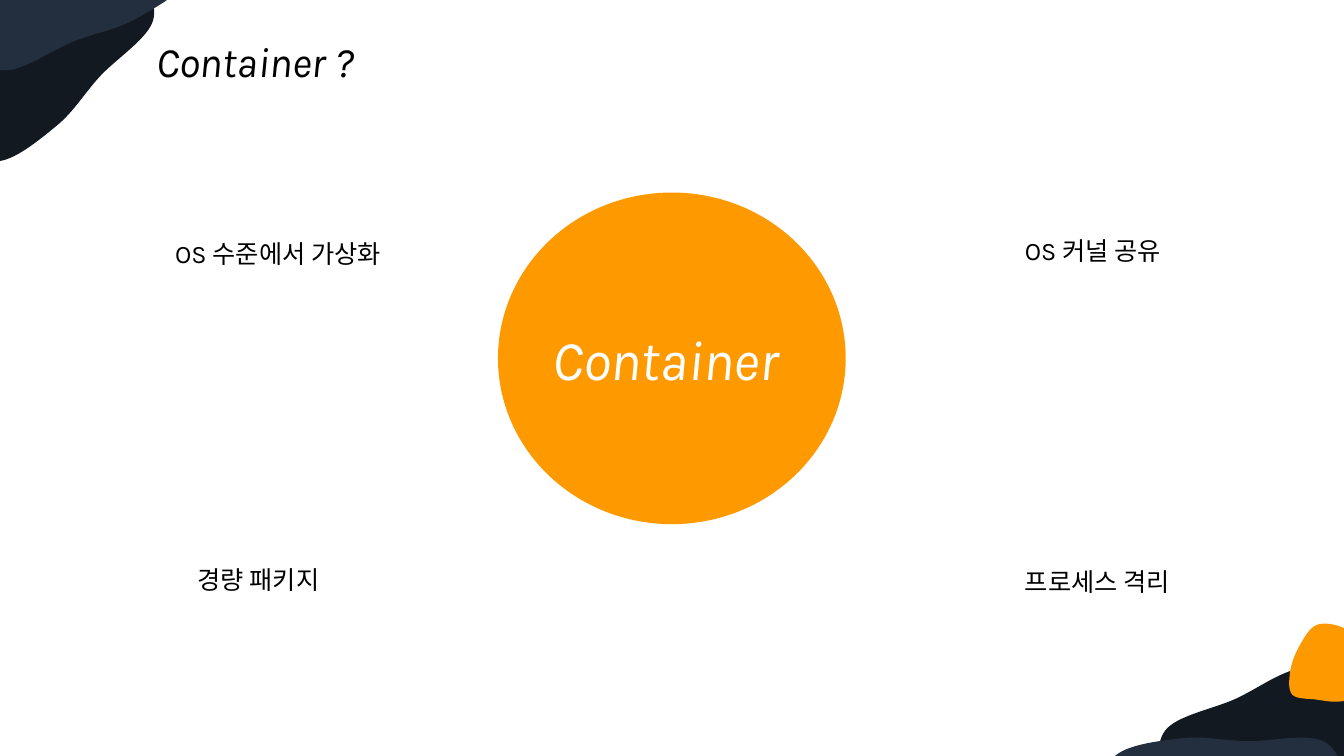
from dataclasses import dataclass

from lxml import etree
from pptx import Presentation
from pptx.dml.color import RGBColor
from pptx.enum.shapes import MSO_SHAPE
from pptx.enum.text import MSO_ANCHOR, MSO_AUTO_SIZE, PP_ALIGN
from pptx.oxml.ns import qn
from pptx.util import Pt

OVAL = MSO_SHAPE.OVAL
TOP = MSO_ANCHOR.TOP
FIT = MSO_AUTO_SIZE.SHAPE_TO_FIT_TEXT
LEFT = PP_ALIGN.LEFT
TITLE_ONLY = 5

BLACK, WHITE = "000000", "FFFFFF"
INK, NAVY, ORANGE = "131921", "232F3E", "FF9900"
FONT = "Karla"

Point = tuple[float, float]


@dataclass
class Label:
    text: str
    box: tuple[float, float, float, float]
    size: float = 18
    color: str = BLACK
    italic: bool = False


@dataclass
class Outline:
    width: float
    height: float
    anchors: list[Point]


@dataclass
class Blob:
    outline: Outline
    color: str
    left: float
    top: float
    rotation: float
    flipped: bool = False


TITLE = Label("Container ?", (104.4, 21.6, 169.2, 43.9), 30, italic=True)
LABELS = [
    Label("Container", (387.4, 228.2, 205.2, 55.4), 40, WHITE, True),
    Label("경량 패키지", (133.9, 399.6, 110.2, 28.8)),
    Label("OS 수준에서 가상화", (118.1, 167, 173.5, 28.8)),
    Label("OS 커널 공유", (725, 164.2, 119.5, 28.8)),
    Label("프로세스 격리", (725, 401, 128.2, 28.8)),
]

WAVE = Outline(98.6, 174.2, [
    (96.5, 17), (94.4, 72.4), (94.4, 119.4), (78.6, 166.8), (37.2, 167.7),
    (6.6, 127.4), (0.6, 70.4), (17.4, 17.4), (59.3, 0)])
PEBBLE = Outline(61.2, 56.9, [
    (44.1, 9), (52.8, 22.2), (60.8, 38), (48.7, 49.5), (30.6, 55.6),
    (11.1, 55.4), (0.7, 38.9), (2.9, 19.7), (17, 8.4), (31.8, 0.4)])

BOTTOM_WAVES = [
    Blob(WAVE, INK, 866.9, 445.7, 243.7),
    Blob(WAVE, NAVY, 824.4, 486.7, 92.5, flipped=True),
]
BOTTOM_PEBBLE = Blob(PEBBLE, ORANGE, 918.7, 450, 128.5)
TOP_WAVES = [
    Blob(WAVE, INK, -21.6, -51.1, 41.3),
    Blob(WAVE, NAVY, 2.2, -105.1, 250, flipped=True),
]


def rgb(color: str) -> RGBColor:
    return RGBColor.from_string(color)


def paint(sp, color: str) -> None:
    sp.shadow.inherit = False
    sp.fill.solid()
    sp.fill.fore_color.rgb = rgb(color)
    sp.line.fill.background()


def place(sp, left: float, top: float, width: float, height: float) -> None:
    sp.left, sp.top, sp.width, sp.height = map(Pt, (left, top, width, height))


def curve_segments(anchors: list[Point]) -> list[list[Point]]:
    """Give the Bézier controls and end of each span of a closed Catmull-Rom curve."""
    n = len(anchors)
    segments = []
    for i in range(n):
        before, start, end, after = (anchors[(i + k) % n] for k in (-1, 0, 1, 2))
        leave = (start[0] + (end[0] - before[0]) / 6, start[1] + (end[1] - before[1]) / 6)
        arrive = (end[0] - (after[0] - start[0]) / 6, end[1] - (after[1] - start[1]) / 6)
        segments.append([leave, arrive, end])
    return segments


def add_command(outline_path, tag: str, points: list[Point]) -> None:
    command = etree.SubElement(outline_path, qn(tag))
    for x, y in points:
        etree.SubElement(command, qn("a:pt"), x=str(int(Pt(x))), y=str(int(Pt(y))))


def draw_blob(shapes, blob: Blob):
    outline = blob.outline
    start, *rest = [(Pt(x), Pt(y)) for x, y in outline.anchors]
    builder = shapes.build_freeform(*start)
    builder.add_line_segments(rest, close=True)
    sp = builder.convert_to_shape()
    place(sp, blob.left, blob.top, outline.width, outline.height)
    sp.rotation = blob.rotation
    if blob.flipped:
        sp._element.spPr.xfrm.set("flipH", "1")

    outline_path = next(sp._element.iter(qn("a:path")))
    for command in list(outline_path):
        outline_path.remove(command)
    outline_path.set("w", str(int(Pt(outline.width))))
    outline_path.set("h", str(int(Pt(outline.height))))
    add_command(outline_path, "a:moveTo", outline.anchors[:1])
    for segment in curve_segments(outline.anchors):
        add_command(outline_path, "a:cubicBezTo", segment)
    add_command(outline_path, "a:close", [])
    paint(sp, blob.color)
    return sp


def write_label(sp, label: Label) -> None:
    place(sp, *label.box)
    tf = sp.text_frame
    frame_format = {"word_wrap": False, "auto_size": FIT, "vertical_anchor": TOP}
    for name, value in frame_format.items():
        setattr(tf, name, value)
    p = tf.paragraphs[0]
    for name, value in {"alignment": LEFT, "line_spacing": 1.0, "space_before": Pt(0)}.items():
        setattr(p, name, value)
    r = p.add_run()
    r.text = label.text
    for name, value in {"name": FONT, "size": Pt(label.size), "italic": label.italic}.items():
        setattr(r.font, name, value)
    r.font.color.rgb = rgb(label.color)
    etree.SubElement(r._r.get_or_add_rPr(), qn("a:ea"), typeface=FONT)


def main() -> None:
    prs = Presentation()
    prs.slide_width, prs.slide_height = Pt(960), Pt(540)
    slide = prs.slides.add_slide(prs.slide_layouts[TITLE_ONLY])
    shapes = slide.shapes
    write_label(shapes.title, TITLE)
    shapes.add_group_shape([draw_blob(shapes, blob) for blob in BOTTOM_WAVES])
    draw_blob(shapes, BOTTOM_PEBBLE)
    circle = shapes.add_shape(OVAL, Pt(355.7), Pt(137.5), Pt(248.4), Pt(236.9))
    paint(circle, ORANGE)
    for label in LABELS:
        write_label(shapes.add_textbox(*map(Pt, label.box)), label)
    for blob in TOP_WAVES:
        draw_blob(shapes, blob)
    prs.save("out.pptx")


if __name__ == "__main__":
    main()
